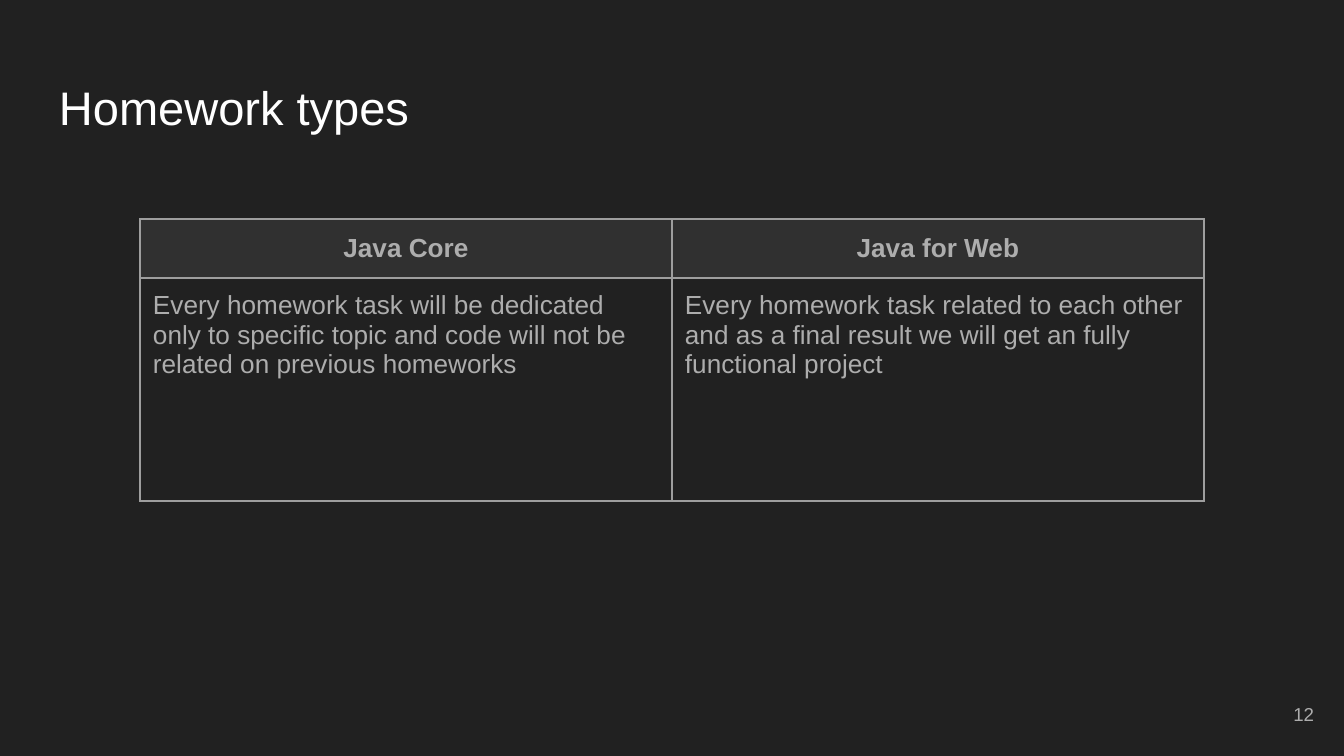
from dataclasses import dataclass
from lxml.etree import SubElement
from pptx import Presentation
from pptx.dml.color import RGBColor
from pptx.enum.text import MSO_ANCHOR, PP_ALIGN
from pptx.oxml.ns import qn
from pptx.util import Pt


@dataclass(frozen=True)
class Theme:
    font: str = "Arial"
    background: str = "212121"
    header_fill: str = "303030"
    border: str = "9E9E9E"
    title: str = "FFFFFF"
    body: str = "ADADAD"
    title_size: float = 25.2
    table_size: int = 14
    number_size: int = 10


theme = Theme()
INSET = 13


def px(n):
    return round(n * 9144000 / 1344)


def write(holder, text, size, color, align, anchor, bold=False):
    holder.margin_left = holder.margin_right = px(INSET)
    holder.margin_top = holder.margin_bottom = px(INSET)
    holder.vertical_anchor = anchor
    frame = getattr(holder, "text_frame", holder)
    frame.word_wrap = True
    paragraph = frame.paragraphs[0]
    paragraph.text = text
    paragraph.alignment = align
    font = paragraph.font
    font.name, font.size, font.bold = theme.font, Pt(size), bold
    font.color.rgb = RGBColor.from_string(color)


deck = Presentation()
deck.slide_width, deck.slide_height = px(1344), px(756)
slide = deck.slides.add_slide(deck.slide_layouts[6])
slide.background.fill.solid()
slide.background.fill.fore_color.rgb = RGBColor.from_string(theme.background)

title = slide.shapes.add_textbox(px(46), px(66), px(1253), px(85))
write(title.text_frame, "Homework types", theme.title_size, theme.title,
      PP_ALIGN.LEFT, MSO_ANCHOR.TOP)

page_number = slide.shapes.add_textbox(px(1246), px(685), px(81), px(58))
write(page_number.text_frame, "12", theme.number_size, theme.body,
      PP_ALIGN.RIGHT, MSO_ANCHOR.MIDDLE)

homework = [
    ("Java Core",
     "Every homework task will be dedicated only to specific topic "
     "and code will not be related on previous homeworks"),
    ("Java for Web",
     "Every homework task related to each other and as a final result "
     "we will get an fully functional project"),
]
row_heights = [59, 223]
column_width = 532
table = slide.shapes.add_table(
    len(row_heights), len(homework), px(140), px(219),
    px(column_width * len(homework)), px(sum(row_heights))).table
for row, height in zip(table.rows, row_heights):
    row.height = px(height)

for c, course in enumerate(homework):
    table.columns[c].width = px(column_width)
    for r, text in enumerate(course):
        cell = table.cell(r, c)
        is_header = r == 0
        write(cell, text, theme.table_size, theme.body,
              PP_ALIGN.CENTER if is_header else PP_ALIGN.LEFT,
              MSO_ANCHOR.MIDDLE if is_header else MSO_ANCHOR.TOP, is_header)
        properties = cell._tc.get_or_add_tcPr()
        for side in ("a:lnL", "a:lnR", "a:lnT", "a:lnB"):
            edge = SubElement(properties, qn(side), w=str(Pt(0.75)))
            paint = SubElement(edge, qn("a:solidFill"))
            SubElement(paint, qn("a:srgbClr"), val=theme.border)
        if is_header:
            cell.fill.solid()
            cell.fill.fore_color.rgb = RGBColor.from_string(theme.header_fill)
        else:
            cell.fill.background()

deck.save("out.pptx")
